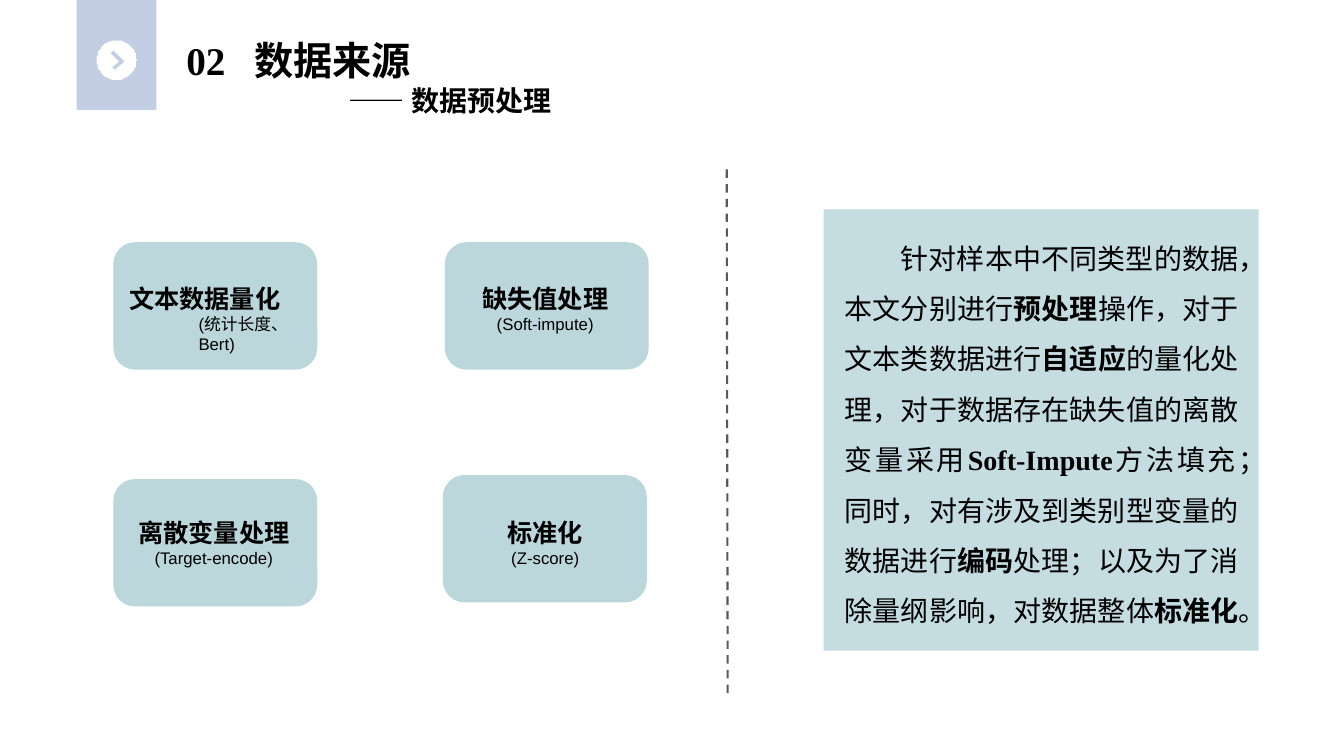
import math

from lxml import etree
from pptx import Presentation
from pptx.dml.color import RGBColor
from pptx.enum.dml import MSO_LINE
from pptx.enum.shapes import MSO_CONNECTOR, MSO_SHAPE
from pptx.enum.text import PP_ALIGN
from pptx.oxml.ns import qn
from pptx.util import Pt

RECT = MSO_SHAPE.RECTANGLE
ROUNDED = MSO_SHAPE.ROUNDED_RECTANGLE
STRAIGHT = MSO_CONNECTOR.STRAIGHT
DASH = MSO_LINE.DASH
LEFT, CENTER, JUSTIFY = PP_ALIGN.LEFT, PP_ALIGN.CENTER, PP_ALIGN.JUSTIFY

SERIF, SANS, HAN = "Times New Roman", "Arial", "Noto Sans CJK SC"
TEAL, LILAC, WHITE, BLACK, GRAY = "BCD7DB", "C3CDE3", "FFFFFF", "000000", "595959"

CARD_SIZE = (144.7, 90)
LABEL_SIZE = (142.6, 43.2)
CARDS = [
    ((81.4, 173.5), (84.2, 198.7), "文本数据量化", "(统计长度、Bert)", 50.5),
    ((318.2, 173.5), (318.2, 198.7), "缺失值处理", "(Soft-impute)", None),
    ((81.4, 342.7), (81.4, 365.8), "离散变量处理", "(Target-encode)", None),
    ((316.8, 339.8), (318.2, 365.8), "标准化", "(Z-score)", None),
]
SUMMARY = [
    ("针对样本中不同类型的数据，本文分别进行", HAN, False),
    ("预处理", HAN, True),
    ("操作，对于文本类数据进行", HAN, False),
    ("自适应", HAN, True),
    ("的量化处理，对于数据存在缺失值的离散变量采用", HAN, False),
    ("Soft-Impute", SERIF, True),
    ("方法填充；同时，对有涉及到类别型变量的数据进行", HAN, False),
    ("编码", HAN, True),
    ("处理；以及为了消除量纲影响，对数据整体", HAN, False),
    ("标准化", HAN, True),
    ("。", HAN, False),
]


def color(code):
    return RGBColor.from_string(code)


def paint(shape, fill, line=None):
    shape.shadow.inherit = False
    shape.fill.solid()
    shape.fill.fore_color.rgb = color(fill)
    if line:
        shape.line.color.rgb = color(line)
        shape.line.width = Pt(1)
    else:
        shape.line.fill.background()


def add_block(page, kind, box, fill, line=None):
    shape = page.shapes.add_shape(kind, *map(Pt, box))
    paint(shape, fill, line)
    return shape


def add_frame(page, box):
    frame = page.shapes.add_textbox(*map(Pt, box)).text_frame
    frame.word_wrap = True
    return frame


def add_span(para, text, size, font, bold=True):
    span = para.add_run()
    span.text = text
    span.font.size = Pt(size)
    span.font.bold = bold
    span.font.name = font
    span.font.color.rgb = color(BLACK)
    east_asian = etree.SubElement(span.font._element, qn("a:ea"))
    east_asian.set("typeface", HAN)


def set_indent(para, left=0, first=0):
    properties = para._p.get_or_add_pPr()
    properties.set("marL", str(Pt(left)))
    properties.set("indent", str(Pt(first)))


def add_tab_stop(para, position):
    tabs = etree.SubElement(para._p.get_or_add_pPr(), qn("a:tabLst"))
    tab = etree.SubElement(tabs, qn("a:tab"))
    tab.set("pos", str(Pt(position)))
    tab.set("algn", "l")


def add_badge(page, box):
    left, top, size = box
    radius = size / 2
    steps = 72
    circle = [
        (left + radius + radius * math.cos(2 * math.pi * step / steps),
         top + radius + radius * math.sin(2 * math.pi * step / steps))
        for step in range(steps)
    ]
    chevron = [
        (left + size * across, top + size * down)
        for across, down in [(0.43, 0.25), (0.36, 0.32), (0.55, 0.52),
                             (0.37, 0.69), (0.44, 0.76), (0.69, 0.52)]
    ]
    builder = page.shapes.build_freeform(*circle[0], scale=Pt(1))
    builder.add_line_segments(circle[1:], close=True)
    builder.move_to(*chevron[0])
    builder.add_line_segments(chevron[1:], close=True)
    paint(builder.convert_to_shape(), WHITE)


def add_header(page, box):
    left, top, width, height = box
    add_block(page, RECT, (left, top, 57, height), LILAC)
    frame = add_frame(page, (left + 71.2, top + 22.4, width - 71.2, 75))
    title = frame.paragraphs[0]
    add_tab_stop(title, 48.5)
    add_span(title, "02\t数据来源", 28, SERIF)
    subtitle = frame.add_paragraph()
    set_indent(subtitle, 116)
    add_span(subtitle, "—— 数据预处理", 20, SERIF)
    add_badge(page, (left + 14.3, top + 28.8, 28.4))


def add_card(page, card_at, label_at, name, method, method_indent):
    add_block(page, ROUNDED, card_at + CARD_SIZE, TEAL, TEAL)
    frame = add_frame(page, label_at + LABEL_SIZE)
    heading, detail = frame.paragraphs[0], frame.add_paragraph()
    alignment = LEFT if method_indent else CENTER
    heading.alignment = detail.alignment = alignment
    if method_indent:
        set_indent(heading, 1)
        set_indent(detail, method_indent)
    add_span(heading, name, 18, SANS)
    add_span(detail, method, 12, SANS, False)


def add_summary(page, box):
    left, top, width, height = box
    panel = add_block(page, ROUNDED, box, TEAL)
    panel.adjustments[0] = 0
    veil = add_block(page, RECT, box, WHITE)
    tint = veil._element.spPr.find(qn("a:solidFill"))[0]
    etree.SubElement(tint, qn("a:alpha")).set("val", "15000")

    frame = add_frame(page, (left + 7.9, top + 7.2, width - 15.1, height - 15.1))
    frame.margin_bottom = Pt(5.8)
    para = frame.paragraphs[0]
    para.alignment = JUSTIFY
    para.line_spacing = 1.5
    set_indent(para, 0, 40)
    for text, font, bold in SUMMARY:
        add_span(para, text, 20, font, bold)


def add_divider(page, start, end):
    line = page.shapes.add_connector(STRAIGHT, *map(Pt, start + end))
    line.line.color.rgb = color(GRAY)
    line.line.width = Pt(1.5)
    line.line.dash_style = DASH
    etree.SubElement(line._element.spPr, qn("a:effectLst"))


def main():
    deck = Presentation()
    deck.slide_width, deck.slide_height = Pt(960), Pt(540)
    page = deck.slides.add_slide(deck.slide_layouts[6])
    add_header(page, (54.8, 0, 361.4, 78.5))
    for card in CARDS:
        add_card(page, *card)
    add_summary(page, (588.3, 149.5, 310.8, 315.3))
    add_divider(page, (519.1, 121), (519.8, 497.5))
    deck.save("out.pptx")


if __name__ == "__main__":
    main()
